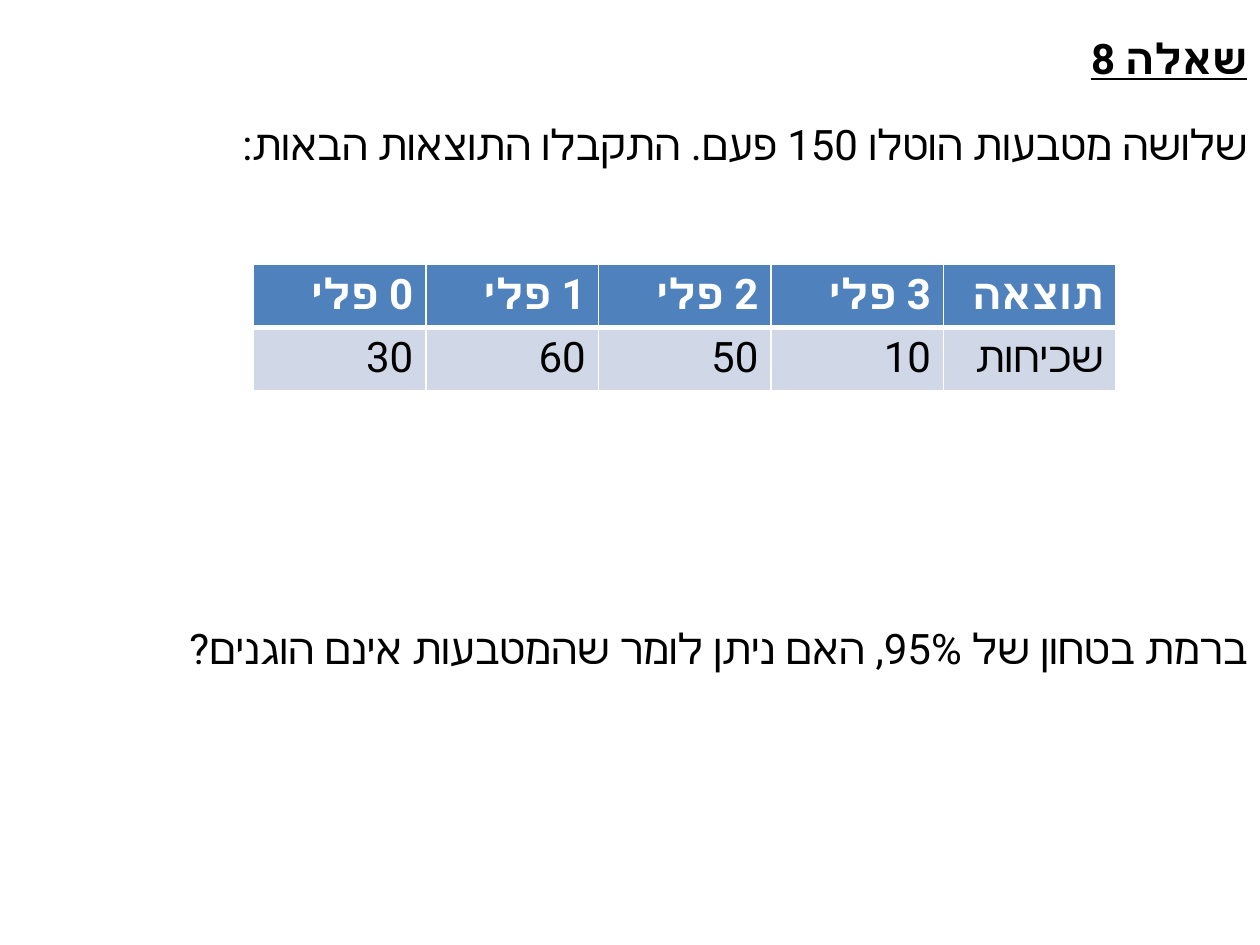
from lxml import etree
from pptx import Presentation
from pptx.dml.color import RGBColor
from pptx.enum.text import MSO_ANCHOR, PP_ALIGN
from pptx.oxml.ns import qn
from pptx.util import Inches, Pt

RIGHT = PP_ALIGN.RIGHT
MIDDLE = MSO_ANCHOR.MIDDLE
COLORS = {"text": "000000", "header": "4F81BD", "band": "D0D8E8", "white": "FFFFFF"}
LINE_H = 0.68
COLUMNS = [("0 פלי", "30"), ("1 פלי", "60"), ("2 פלי", "50"),
           ("3 פלי", "10"), ("תוצאה", "שכיחות")]


def write_text(tf, text, font="Roboto", color="text", bold=False, underline=False):
    p = tf.paragraphs[0]
    p.alignment = RIGHT
    p._p.get_or_add_pPr().set("rtl", "1")
    r = p.add_run()
    r.text = text
    r.font.size = Pt(24)
    r.font.name = font
    r.font.bold = bold
    r.font.underline = underline
    r.font.color.rgb = RGBColor.from_string(COLORS[color])
    etree.SubElement(r._r.rPr, qn("a:cs"), typeface="Roboto")


def format_line(sp, text, **kwargs):
    tf = sp.text_frame
    tf.word_wrap = True
    tf.vertical_anchor = MIDDLE
    write_text(tf, text, **kwargs)


def add_title(s, text, x, y, w, h):
    sp = s.shapes.title
    sp.left, sp.top, sp.width, sp.height = (Inches(v) for v in (x, y, w, h))
    format_line(sp, text, bold=True, underline=True)


def add_line(s, text, x, y, w, h):
    sp = s.shapes.add_textbox(Inches(x), Inches(y), Inches(w), Inches(h))
    format_line(sp, text)


def set_borders(cell, widths):
    tcPr = cell._tc.get_or_add_tcPr()
    for i, (side, width) in enumerate(widths.items()):
        ln = etree.Element(qn(f"a:{side}"), w=str(Pt(width)))
        fill = etree.SubElement(ln, qn("a:solidFill"))
        etree.SubElement(fill, qn("a:srgbClr"), val=COLORS["white"])
        tcPr.insert(i, ln)


def add_results(s, x, y, w, h):
    table = s.shapes.add_table(2, len(COLUMNS), Inches(x), Inches(y),
                               Inches(w), Inches(h)).table
    for c, column in enumerate(COLUMNS):
        table.columns[c].width = Inches(w / len(COLUMNS))
        for r, text in enumerate(column):
            header = r == 0
            cell = table.cell(r, c)
            cell.fill.solid()
            cell.fill.fore_color.rgb = RGBColor.from_string(
                COLORS["header" if header else "band"])
            write_text(cell.text_frame, text, font="Calibri", bold=header,
                       color="white" if header else "text")
            set_borders(cell, {"lnL": 1, "lnR": 1, "lnT": 1 if header else 3,
                               "lnB": 3 if header else 1})


def main():
    prs = Presentation()
    prs.slide_width, prs.slide_height = Inches(10), Inches(7.5)
    s = prs.slides.add_slide(prs.slide_layouts[5])
    add_title(s, "שאלה 8", 0, 0.12, 10, LINE_H)
    add_line(s, "שלושה מטבעות הוטלו 150 פעם. התקבלו התוצאות הבאות:",
             0, 0.8, 10, LINE_H)
    add_results(s, 2.01, 2.1, 6.85, 0.86)
    add_line(s, "ברמת בטחון של 95%, האם ניתן לומר שהמטבעות אינם הוגנים?",
             0, 4.8, 10, LINE_H)
    prs.save("out.pptx")


if __name__ == "__main__":
    main()
